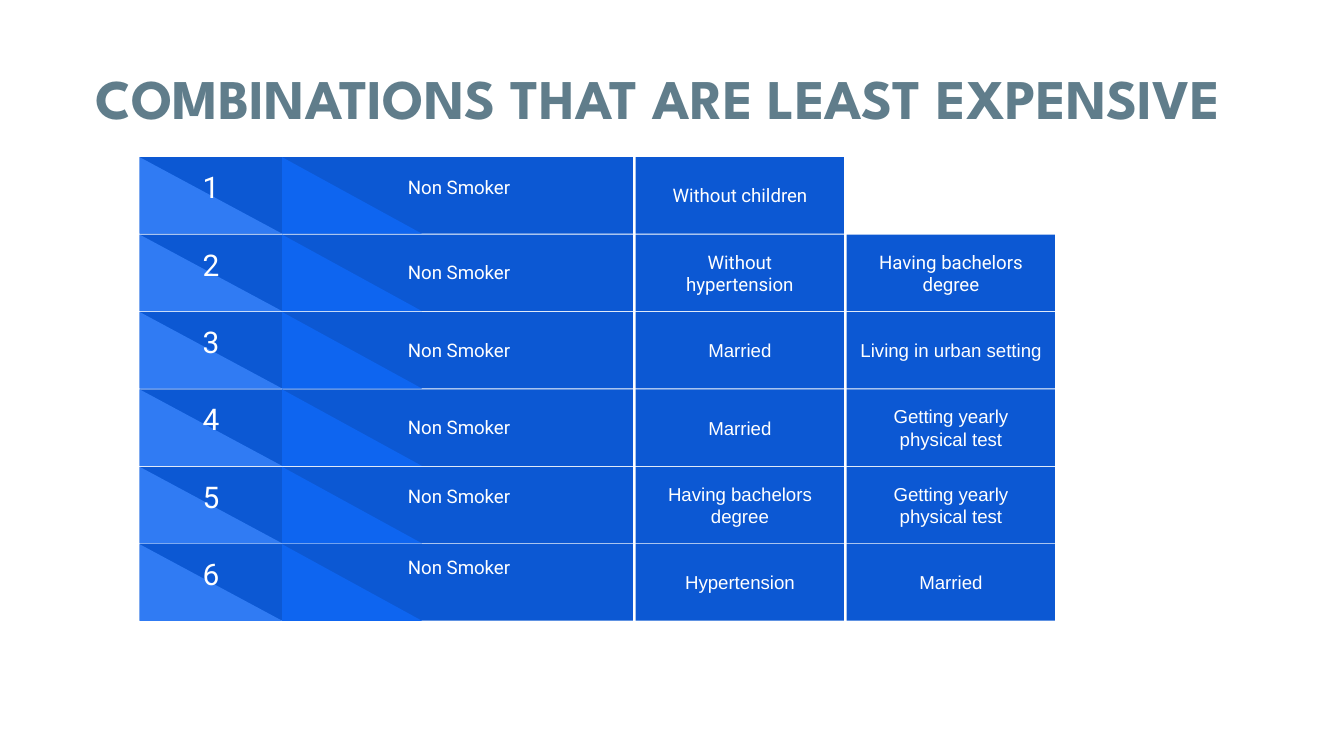
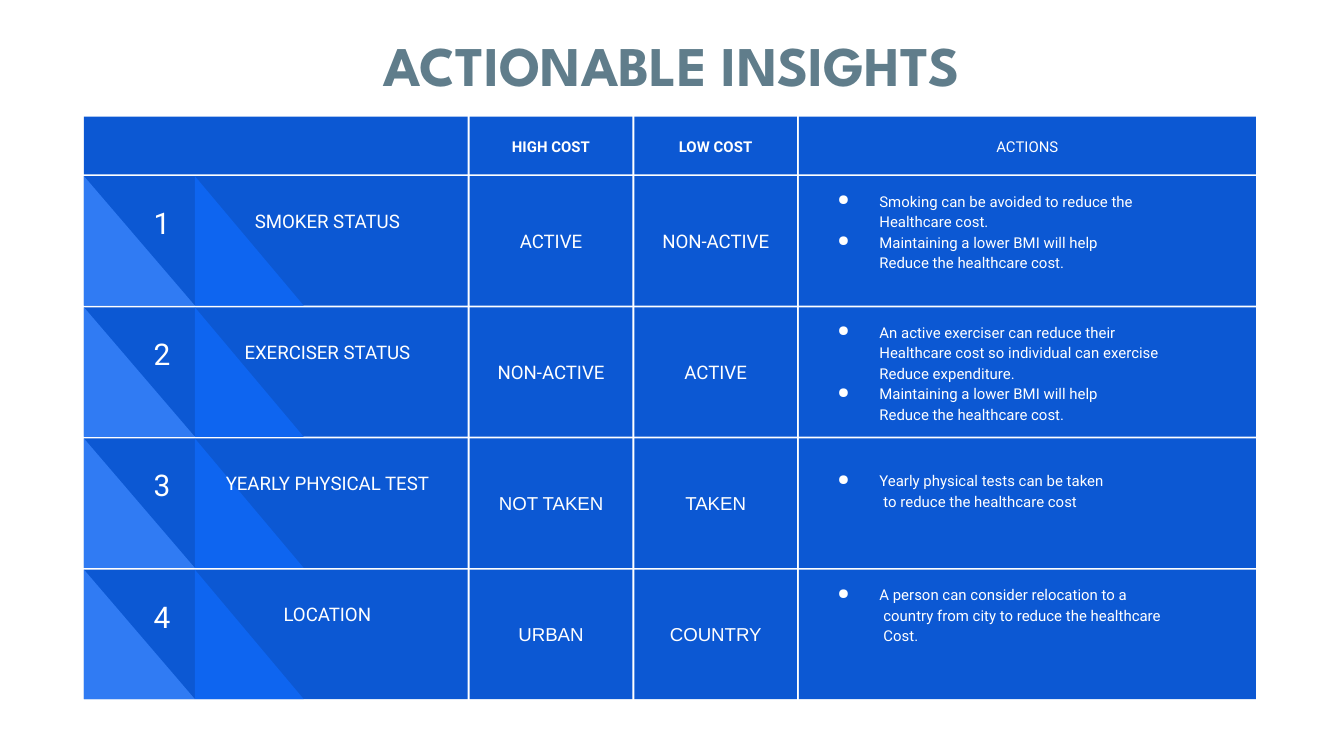
from dataclasses import dataclass

from lxml.etree import SubElement
from pptx import Presentation
from pptx.dml.color import RGBColor
from pptx.enum.shapes import MSO_SHAPE
from pptx.enum.text import MSO_ANCHOR, PP_ALIGN
from pptx.oxml.ns import qn
from pptx.util import Inches, Pt

SLIDE_WIDTH = Inches(10)
SLIDE_HEIGHT = SLIDE_WIDTH * 9 // 16


@dataclass(frozen=True)
class Theme:
    panel: str = "0C58D3"
    label_wedge: str = "0E65F0"
    number_wedge: str = "307BF3"
    text: str = "FFFFFF"
    title: str = "607D8B"
    title_font: str = "League Spartan"
    body_font: str = "Roboto"
    plain_font: str = "Arial"
    title_size: int = 30
    number_size: int = 16
    body_size: int = 10
    small_size: int = 8
    inset: float = 0.1
    action_spacing: float = 1.15


THEME = Theme()


@dataclass(frozen=True)
class Area:
    """Left, top, width and height in percent of the slide."""
    left: float
    top: float
    width: float
    height: float

    def place(self) -> tuple[int, int, int, int]:
        return (
            round(SLIDE_WIDTH * self.left / 100),
            round(SLIDE_HEIGHT * self.top / 100),
            round(SLIDE_WIDTH * self.width / 100),
            round(SLIDE_HEIGHT * self.height / 100),
        )


@dataclass(frozen=True)
class Grid:
    left: float
    top: float
    widths: tuple[float, ...]
    column_gap: float
    row_height: float
    row_gap: float
    number_width: float
    wedge_width: float
    number_box: Area
    label_box: Area

    def cell(self, column: int, row: int) -> Area:
        left = self.left + sum(self.widths[:column]) + column * self.column_gap
        top = self.top + row * (self.row_height + self.row_gap)
        return Area(left, top, self.widths[column], self.row_height)

    def inside(self, box: Area, row: int, drop: float = 0) -> Area:
        lead = self.cell(0, row)
        return Area(lead.left + box.left, lead.top + box.top + drop, box.width, box.height)


@dataclass(frozen=True)
class Style:
    size: int = THEME.body_size
    font: str = THEME.body_font
    color: str = THEME.text
    bold: bool = False
    align: PP_ALIGN = PP_ALIGN.CENTER
    anchor: MSO_ANCHOR = MSO_ANCHOR.MIDDLE
    spacing: float | None = None
    inset_x: float = THEME.inset
    inset_top: float = THEME.inset
    inset_bottom: float = THEME.inset


@dataclass(frozen=True)
class Line:
    text: str
    bullet: bool = False
    indent: float = 0


@dataclass(frozen=True)
class Row:
    label: str
    cells: tuple[str, ...]
    font: str = THEME.body_font
    label_drop: float = 0
    actions: tuple[Line, ...] = ()
    action_inset: float = THEME.inset


def point(text: str) -> Line:
    return Line(text, True, 0.5)


def follow(text: str, indent: float = 0.5) -> Line:
    return Line(text, False, indent)


def write(shape, lines: tuple[Line, ...], style: Style) -> None:
    frame = shape.text_frame
    frame.word_wrap = True
    frame.vertical_anchor = style.anchor
    frame.margin_left = frame.margin_right = Inches(style.inset_x)
    frame.margin_top = Inches(style.inset_top)
    frame.margin_bottom = Inches(style.inset_bottom)
    for index, line in enumerate(lines):
        paragraph = frame.add_paragraph() if index else frame.paragraphs[0]
        paragraph.text = line.text
        paragraph.alignment = style.align
        if style.spacing:
            paragraph.line_spacing = style.spacing
        if line.indent:
            properties = paragraph._p.get_or_add_pPr()
            properties.set("marL", str(Inches(line.indent)))
            properties.set("indent", str(Inches(-0.31) if line.bullet else 0))
            if line.bullet:
                color = SubElement(properties, qn("a:buClr"))
                SubElement(color, qn("a:srgbClr"), val=style.color)
                SubElement(properties, qn("a:buChar"), char="●")
        font = paragraph.font
        font.name = style.font
        font.size = Pt(style.size)
        font.bold = style.bold
        font.color.rgb = RGBColor.from_string(style.color)


def add_panel(shapes, area: Area, color: str = THEME.panel, kind: MSO_SHAPE = MSO_SHAPE.RECTANGLE):
    shape = shapes.add_shape(kind, *area.place())
    shape.shadow.inherit = False
    shape.fill.solid()
    shape.fill.fore_color.rgb = RGBColor.from_string(color)
    shape.line.fill.background()
    return shape


def add_text(shapes, area: Area, text: str, style: Style) -> None:
    write(shapes.add_textbox(*area.place()), (Line(text),), style)


def add_title(slide, area: Area, text: str) -> None:
    style = Style(THEME.title_size, THEME.title_font, THEME.title, True,
                  anchor=MSO_ANCHOR.TOP, inset_x=0.04, inset_top=0.02, inset_bottom=0.02)
    add_text(slide.shapes, area, text, style)


def add_row(slide, grid: Grid, index: int, row: Row, label_style: Style) -> None:
    shapes = slide.shapes.add_group_shape().shapes
    lead = grid.cell(0, index)
    add_panel(shapes, lead)
    label_wedge = Area(lead.left + grid.number_width, lead.top, grid.wedge_width, lead.height)
    number_wedge = Area(lead.left, lead.top, grid.number_width, lead.height)
    add_panel(shapes, label_wedge, THEME.label_wedge, MSO_SHAPE.RIGHT_TRIANGLE)
    add_panel(shapes, number_wedge, THEME.number_wedge, MSO_SHAPE.RIGHT_TRIANGLE)
    for column, text in enumerate(row.cells, 1):
        write(add_panel(shapes, grid.cell(column, index)), (Line(text),), Style(font=row.font))
    if row.actions:
        style = Style(THEME.small_size, align=PP_ALIGN.LEFT, anchor=MSO_ANCHOR.TOP,
                      spacing=THEME.action_spacing, inset_top=row.action_inset)
        write(add_panel(shapes, grid.cell(len(row.cells) + 1, index)), row.actions, style)
    number_style = Style(THEME.number_size, anchor=MSO_ANCHOR.BOTTOM)
    add_text(shapes, grid.inside(grid.number_box, index), str(index + 1), number_style)
    add_text(shapes, grid.inside(grid.label_box, index, row.label_drop), row.label, label_style)


def add_header(slide, grid: Grid, top: float, height: float, headings: tuple[str, ...]) -> None:
    for column, heading in enumerate(headings):
        cell = grid.cell(column, 0)
        panel = add_panel(slide.shapes, Area(cell.left, top, cell.width, height))
        if heading:
            style = Style(THEME.small_size, bold=heading.endswith("COST"), spacing=THEME.action_spacing)
            write(panel, (Line(heading),), style)


COMBINATION_GRID = Grid(
    left=10.4, top=20.8, widths=(36.7, 15.5, 15.5), column_gap=0.2,
    row_height=10.12, row_gap=0.12, number_width=10.6, wedge_width=10.4,
    number_box=Area(2, 2, 6.6, 6.05), label_box=Area(12.3, 0, 22.9, 10.12),
)
INSIGHT_GRID = Grid(
    left=6.25, top=23.3, widths=(28.55, 12.1, 12.1, 34), column_gap=0.15,
    row_height=17.13, row_gap=0.22, number_width=8.25, wedge_width=8.1,
    number_box=Area(3.25, 0, 5.1, 10.3), label_box=Area(9.15, 0, 17.9, 17.13),
)

NON_SMOKER = "Non Smoker"
DEGREE = "Having bachelors degree"
CHECKUP = "Getting yearly physical test"
COMBINATIONS = (
    Row(NON_SMOKER, ("Without children",), label_drop=1),
    Row(NON_SMOKER, ("Without\vhypertension", DEGREE), label_drop=2),
    Row(NON_SMOKER, ("Married", "Living in urban setting"), THEME.plain_font, 2),
    Row(NON_SMOKER, ("Married", CHECKUP), THEME.plain_font, 2),
    Row(NON_SMOKER, (DEGREE, CHECKUP), THEME.plain_font, 0.95),
    Row(NON_SMOKER, ("Hypertension", "Married"), THEME.plain_font),
)

LOWER_BMI = (point("Maintaining a lower BMI will help"), follow("Reduce the healthcare cost."))
INSIGHTS = (
    Row("SMOKER STATUS", ("ACTIVE", "NON-ACTIVE"), actions=(
        point("Smoking can be avoided to reduce the"),
        follow("Healthcare cost."),
        *LOWER_BMI,
    )),
    Row("EXERCISER STATUS", ("NON-ACTIVE", "ACTIVE"), actions=(
        point("An active exerciser can reduce their"),
        follow("Healthcare cost so individual can exercise"),
        follow("Reduce expenditure."),
        *LOWER_BMI,
    )),
    Row("YEARLY PHYSICAL TEST", ("NOT TAKEN", "TAKEN"), THEME.plain_font, actions=(
        point("Yearly physical tests can be taken"),
        follow("to reduce the healthcare cost", 0.53),
    ), action_inset=0.23),
    Row("LOCATION", ("URBAN", "COUNTRY"), THEME.plain_font, actions=(
        point("A person can consider relocation to a"),
        follow("country from city to reduce the healthcare", 0.53),
        follow("Cost.", 0.53),
    )),
)


def build_combinations(slide) -> None:
    add_title(slide, Area(1, 8, 96, 9.6), "COMBINATIONS THAT ARE LEAST EXPENSIVE")
    for index, row in enumerate(COMBINATIONS):
        add_row(slide, COMBINATION_GRID, index, row, Style(anchor=MSO_ANCHOR.TOP))


def build_insights(slide) -> None:
    add_header(slide, INSIGHT_GRID, 15.42, 7.65, ("", "HIGH COST", "LOW COST", "ACTIONS"))
    for index, row in enumerate(INSIGHTS):
        add_row(slide, INSIGHT_GRID, index, row, Style(anchor=MSO_ANCHOR.TOP, inset_top=0.43))
    add_title(slide, Area(16.3, 3.75, 67.4, 9.6), "ACTIONABLE INSIGHTS")


def main() -> None:
    presentation = Presentation()
    presentation.slide_width = SLIDE_WIDTH
    presentation.slide_height = SLIDE_HEIGHT
    for build in (build_combinations, build_insights):
        build(presentation.slides.add_slide(presentation.slide_layouts[6]))
    presentation.save("out.pptx")


if __name__ == "__main__":
    main()
